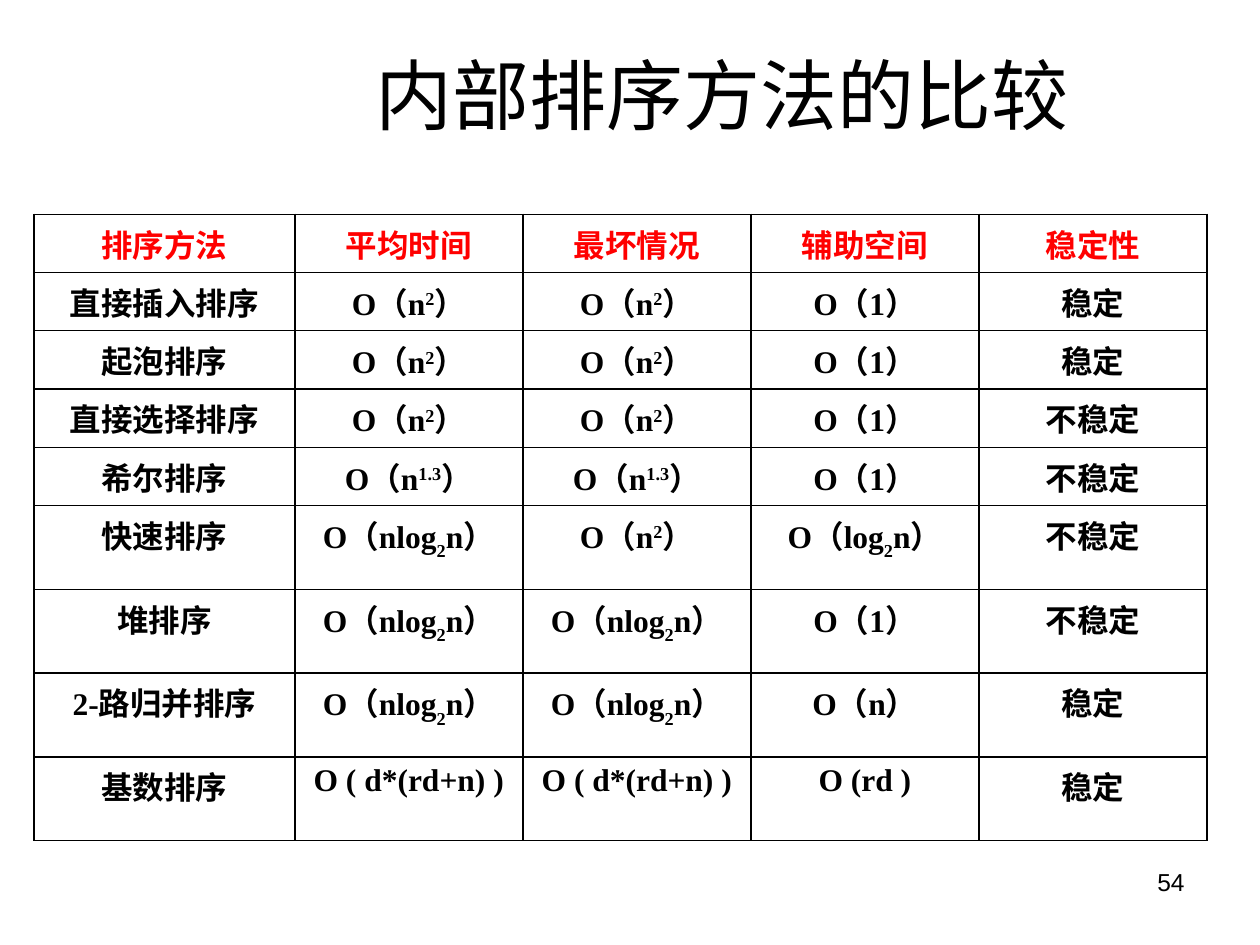
from lxml.etree import SubElement
from pptx import Presentation
from pptx.dml.color import RGBColor
from pptx.enum.text import MSO_ANCHOR, PP_ALIGN
from pptx.oxml import parse_xml
from pptx.oxml.ns import nsdecls, qn
from pptx.util import Inches, Pt

WIDTH, HEIGHT = Inches(10), Inches(7.5)
BLACK = RGBColor(0, 0, 0)
RED = RGBColor(255, 0, 0)
SANS, SERIF, CJK = "Arial", "Times New Roman", "Noto Sans CJK JP"
BASELINES = {"^": 30000, "_": -30000}


def big_o(*terms):
    return ("O", "（", *terms, "）")


CONSTANT = big_o("1")
LINEAR = big_o("n")
SQUARE = big_o("n", "^2")
SHELL = big_o("n", "^1.3")
LOG = big_o("log", "_2", "n")
N_LOG = big_o("nlog", "_2", "n")
RADIX_TIME = ("O ( d*(rd+n) )",)
RADIX_SPACE = ("O (rd )",)
STABLE, UNSTABLE = ("稳定",), ("不稳定",)

HEADINGS = [("排序方法",), ("平均时间",), ("最坏情况",), ("辅助空间",), ("稳定性",)]
METHODS = [
    [("直接插入排序",), SQUARE, SQUARE, CONSTANT, STABLE],
    [("起泡排序",), SQUARE, SQUARE, CONSTANT, STABLE],
    [("直接选择排序",), SQUARE, SQUARE, CONSTANT, UNSTABLE],
    [("希尔排序",), SHELL, SHELL, CONSTANT, UNSTABLE],
    [("快速排序",), N_LOG, SQUARE, LOG, UNSTABLE],
    [("堆排序",), N_LOG, N_LOG, CONSTANT, UNSTABLE],
    [("2-", "路归并排序"), N_LOG, N_LOG, LINEAR, STABLE],
    [("基数排序",), RADIX_TIME, RADIX_TIME, RADIX_SPACE, STABLE],
]
COLUMN_SHARES = [20.7] + [18.1] * 4
ROW_SHARES = [5.87] * 5 + [8.87] * 4
RULE_WEIGHTS = [1] * 2 + [0.75] * 6 + [1] * 2


def across(percent):
    return round(WIDTH * percent / 100)


def down(percent):
    return round(HEIGHT * percent / 100)


def add_run(paragraph, text, size, font, color=BLACK, bold=False):
    run = paragraph.add_run()
    run.text = text
    run.font.size = Pt(size)
    run.font.name = font
    run.font.bold = bold
    run.font.color.rgb = color
    return run


def add_label(slide, text, left, top, width, height, size, font, align, anchor):
    label = slide.shapes.add_textbox(across(left), down(top), across(width), down(height))
    label.text_frame.word_wrap = True
    label.text_frame.vertical_anchor = anchor
    paragraph = label.text_frame.paragraphs[0]
    paragraph.alignment = align
    run = add_run(paragraph, text, size, font)
    if font == CJK:
        SubElement(run.font._element, qn("a:ea")).set("typeface", font)


def write_terms(cell, terms, color):
    paragraph = cell.text_frame.paragraphs[0]
    paragraph.alignment = PP_ALIGN.CENTER
    indents = paragraph._p.get_or_add_pPr()
    indents.set("marL", str(Inches(0.38)))
    indents.set("indent", str(-Inches(0.38)))
    for term in terms:
        font = SERIF if term.isascii() else SANS
        run = add_run(paragraph, term.lstrip("^_"), 18, font, color, True)
        if term[0] in BASELINES:
            run.font._element.set("baseline", str(BASELINES[term[0]]))


def rule_cell(cell, top, bottom):
    cell.fill.background()
    properties = cell._tc.get_or_add_tcPr()
    sides = [("lnL", 1), ("lnR", 1), ("lnT", top), ("lnB", bottom)]
    for place, (side, weight) in enumerate(sides):
        properties.insert(place, parse_xml(
            f'<a:{side} {nsdecls("a")} w="{Pt(weight)}"><a:solidFill>'
            f'<a:srgbClr val="{BLACK}"/></a:solidFill></a:{side}>'))


def add_comparison(slide, left, top):
    rows = [HEADINGS] + METHODS
    table = slide.shapes.add_table(
        len(rows), len(HEADINGS), across(left), down(top),
        across(sum(COLUMN_SHARES)), down(sum(ROW_SHARES))).table
    table.first_row = table.horz_banding = False
    for column, share in zip(table.columns, COLUMN_SHARES):
        column.width = across(share)
    for number, (row, share, entries) in enumerate(zip(table.rows, ROW_SHARES, rows)):
        row.height = down(share)
        for cell, terms in zip(row.cells, entries):
            write_terms(cell, terms, BLACK if number else RED)
            rule_cell(cell, RULE_WEIGHTS[number], RULE_WEIGHTS[number + 1])


def main():
    deck = Presentation()
    deck.slide_width, deck.slide_height = WIDTH, HEIGHT
    slide = deck.slides.add_slide(deck.slide_layouts[6])
    add_comparison(slide, 2.7, 22.67)
    add_label(slide, "内部排序方法的比较 ", 17.7, 3.73, 80.7, 12.27,
              44, CJK, PP_ALIGN.CENTER, MSO_ANCHOR.MIDDLE)
    add_label(slide, "54", 71.7, 91.07, 23.3, 6.93,
              14, SANS, PP_ALIGN.RIGHT, MSO_ANCHOR.TOP)
    deck.save("out.pptx")


main()
